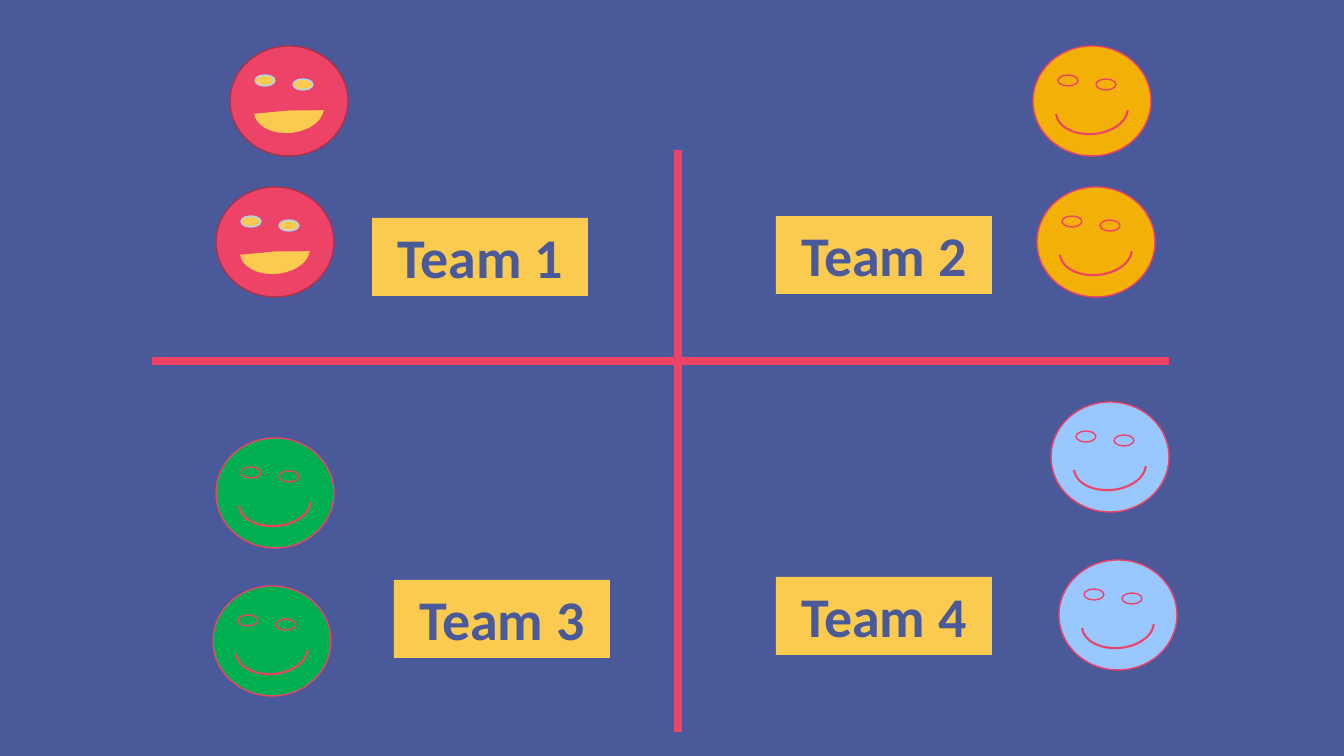
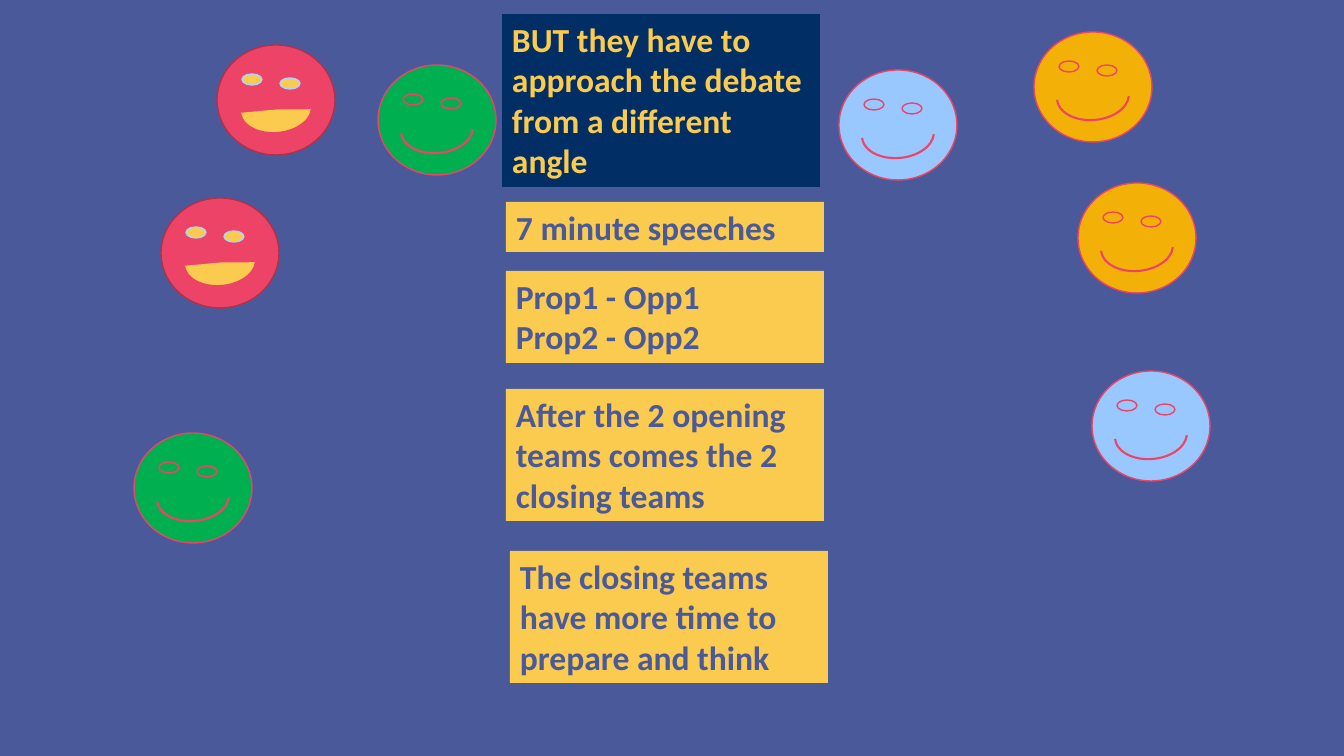
from lxml.etree import SubElement
from pptx import Presentation
from pptx.dml.color import RGBColor
from pptx.enum.shapes import MSO_CONNECTOR, MSO_SHAPE
from pptx.enum.text import MSO_AUTO_SIZE, PP_ALIGN
from pptx.oxml.ns import qn
from pptx.util import Emu, Pt

EMU_PER_PX = 914400 / 100.8

INDIGO = RGBColor(0x49, 0x59, 0x99)
NAVY = RGBColor(0x00, 0x2E, 0x65)
YELLOW = RGBColor(0xFB, 0xCB, 0x50)
RED = RGBColor(0xED, 0x43, 0x67)
DARK_RED = RGBColor(0xAF, 0x32, 0x4C)
ORANGE = RGBColor(0xF3, 0xB0, 0x06)
BLUE = RGBColor(0x99, 0xC7, 0xFF)
PALE_BLUE = RGBColor(0xA9, 0xD5, 0xFC)
GREEN = RGBColor(0x00, 0xB0, 0x50)

# Each team: head fill, head outline, eye and mouth fill, eye outline
RED_TEAM = (RED, DARK_RED, YELLOW, PALE_BLUE)
ORANGE_TEAM = (ORANGE, RED, ORANGE, RED)
BLUE_TEAM = (BLUE, RED, BLUE, RED)
GREEN_TEAM = (GREEN, RED, GREEN, RED)


def add_face(slide, team, left, top):
    head_fill, head_line, feature_fill, eye_line = team
    face = slide.shapes.add_group_shape()
    for preset, dx, dy, width, height, fill, outline, weight in (
        (MSO_SHAPE.OVAL, 0, 0, 118, 110, head_fill, head_line, 1),
        (MSO_SHAPE.OVAL, 25, 29, 20, 11, feature_fill, eye_line, 1),
        (MSO_SHAPE.OVAL, 63, 33, 20, 11, feature_fill, eye_line, 1),
        (MSO_SHAPE.ARC, 23, 41, 72, 47, feature_fill, RED, 1.5),
    ):
        box = [Emu(round(n * EMU_PER_PX)) for n in (left + dx, top + dy, width, height)]
        part = face.shapes.add_shape(preset, *box)
        part.shadow.inherit = False
        part.fill.solid()
        part.fill.fore_color.rgb = fill
        part.line.color.rgb = outline
        part.line.width = Pt(weight)
        if preset == MSO_SHAPE.ARC:
            part.adjustments[0] = 110.86
            part.rotation = 174.7


def add_label(slide, lines, bounds, size, align, fill=YELLOW, color=INDIGO):
    label = slide.shapes.add_textbox(*[Emu(round(n * EMU_PER_PX)) for n in bounds])
    label.fill.solid()
    label.fill.fore_color.rgb = fill
    frame = label.text_frame
    frame.word_wrap = True
    frame.auto_size = MSO_AUTO_SIZE.SHAPE_TO_FIT_TEXT
    frame.text = "\n".join(lines)
    for paragraph in frame.paragraphs:
        paragraph.alignment = align
        paragraph.font.name = "Calibri"
        paragraph.font.size = Pt(size)
        paragraph.font.bold = True
        paragraph.font.color.rgb = color


prs = Presentation()
prs.slide_width = Emu(round(1344 * EMU_PER_PX))
prs.slide_height = Emu(round(756 * EMU_PER_PX))
background = prs.slide_master.background.fill
background.solid()
background.fore_color.rgb = INDIGO
blank = prs.slide_layouts[6]

# Slide 1: four teams, one in each quarter
teams_slide = prs.slides.add_slide(blank)
for team, left, top in (
    (RED_TEAM, 230, 46), (RED_TEAM, 216, 187),
    (ORANGE_TEAM, 1033, 46), (ORANGE_TEAM, 1037, 187),
    (BLUE_TEAM, 1059, 560), (BLUE_TEAM, 1051, 402),
    (GREEN_TEAM, 213, 586), (GREEN_TEAM, 216, 438),
):
    add_face(teams_slide, team, left, top)

# Dividing cross
for ends in ((152, 361, 1169, 361), (678, 150, 678, 732)):
    divider = teams_slide.shapes.add_connector(
        MSO_CONNECTOR.STRAIGHT, *[Emu(round(n * EMU_PER_PX)) for n in ends])
    divider.line.color.rgb = RED
    divider.line.width = Pt(6)
    SubElement(divider._element.spPr, qn("a:effectLst"))

# Team names
for number, (left, top) in enumerate(
        ((372, 218), (776, 216), (394, 580), (776, 577)), start=1):
    add_label(teams_slide, [f"Team {number}"], (left, top, 216, 78), 40, PP_ALIGN.CENTER)

# Slide 2: how the closing teams debate
rules_slide = prs.slides.add_slide(blank)
for team, left, top in (
    (RED_TEAM, 217, 45), (RED_TEAM, 161, 198),
    (ORANGE_TEAM, 1034, 32), (ORANGE_TEAM, 1078, 183),
    (BLUE_TEAM, 839, 70), (BLUE_TEAM, 1092, 371),
    (GREEN_TEAM, 378, 65), (GREEN_TEAM, 134, 433),
):
    add_face(rules_slide, team, left, top)

# Debate rules
for left, top, height, lines in (
    (506, 202, 50, ["7 minute speeches"]),
    (506, 271, 92, ["Prop1 - Opp1", "Prop2 - Opp2"]),
    (506, 389, 132, ["After the 2 opening teams comes the 2 closing teams"]),
    (510, 551, 132, ["The closing teams have more time to prepare and think"]),
):
    add_label(rules_slide, lines, (left, top, 318, height), 24, PP_ALIGN.LEFT)
add_label(rules_slide, ["BUT they have to approach the debate from a different angle"],
          (502, 14, 318, 173), 24, PP_ALIGN.LEFT, NAVY, YELLOW)

prs.save("out.pptx")
